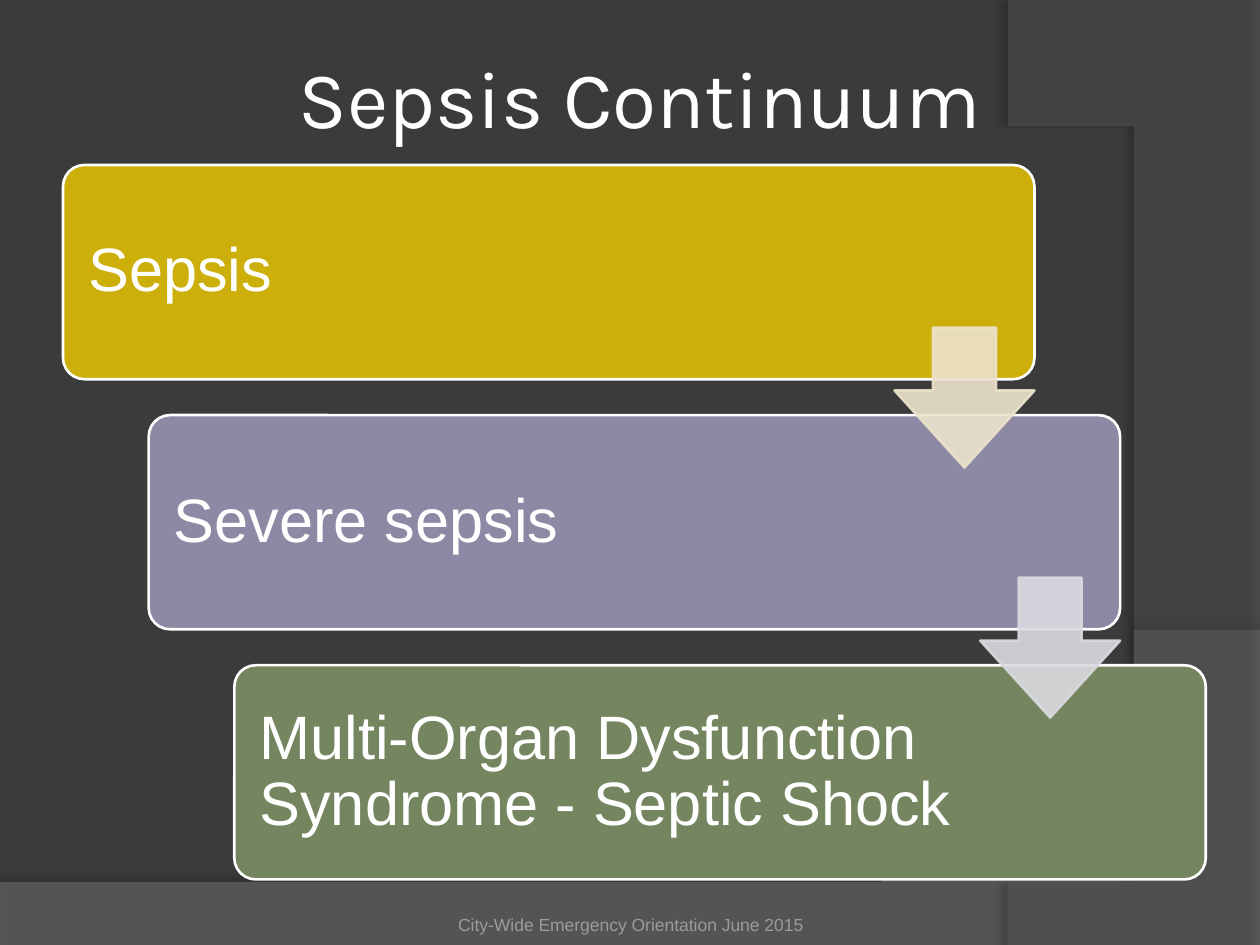
from dataclasses import dataclass

from lxml import etree
from pptx import Presentation
from pptx import util as u
from pptx.dml import color
from pptx.enum import shapes, text
from pptx.oxml import ns


@dataclass(frozen=True)
class Theme:
    background: str = "3B3B3B"
    white: str = "FFFFFF"
    wave: str = "7F7F7F"
    arc: str = "5E5E5E"
    footer: str = "9D9B9A"
    stages: tuple = ("CCAF0A", "8D89A4", "748560")
    arrows: tuple = ("ECE3CC", "DBDAE0")
    heading_font: str = "Karla"
    body_font: str = "Arial"
    title_size: float = 46
    stage_size: float = 35
    footer_size: float = 10
    outline: float = 1.5


def rgb(value):
    return color.RGBColor.from_string(value)


def bezier(start, control_1, control_2, end, steps=48):
    points = []
    for step in range(steps + 1):
        t = step / steps
        weights = ((1 - t) ** 3, 3 * t * (1 - t) ** 2, 3 * t * t * (1 - t), t ** 3)
        corners = (start, control_1, control_2, end)
        points.append(tuple(sum(w * c[axis] for w, c in zip(weights, corners))
                            for axis in (0, 1)))
    return points


class SlideBuilder:
    def __init__(self, slide, theme):
        self.slide = slide
        self.theme = theme
        slide.background.fill.solid()
        slide.background.fill.fore_color.rgb = rgb(theme.background)

    def paint(self, shape, fill, line=None, opacity=100):
        shape.shadow.inherit = False
        shape.fill.solid()
        shape.fill.fore_color.rgb = rgb(fill)
        if line:
            shape.line.color.rgb = rgb(line)
            shape.line.width = u.Pt(self.theme.outline)
        else:
            shape.line.fill.background()
        if opacity < 100:
            for tint in shape._element.spPr.iter(ns.qn("a:srgbClr")):
                etree.SubElement(tint, ns.qn("a:alpha"), val=str(opacity * 1000))

    def backdrop(self, points, fill, opacity, shadow_opacity, distance, direction):
        builder = self.slide.shapes.build_freeform(*points[0], scale=u.Inches(1))
        builder.add_line_segments(points[1:], close=True)
        shape = builder.convert_to_shape()
        self.paint(shape, fill, opacity=opacity)
        effects = shape._element.spPr.find(ns.qn("a:effectLst"))
        shadow = etree.SubElement(
            effects, ns.qn("a:outerShdw"), blurRad=str(u.Pt(4)),
            dist=str(u.Pt(distance)), dir=str(direction * 60000),
            algn="ctr", rotWithShape="0")
        tint = etree.SubElement(shadow, ns.qn("a:srgbClr"), val="000000")
        etree.SubElement(tint, ns.qn("a:alpha"), val=str(shadow_opacity * 1000))

    def preset(self, kind, bounds, adjustments, fill, line, opacity=100):
        shape = self.slide.shapes.add_shape(kind, *map(u.Inches, bounds))
        for index, value in enumerate(adjustments):
            shape.adjustments[index] = value
        self.paint(shape, fill, line, opacity)

    def label(self, words, bounds, size, font, tint, insets,
              align=text.PP_ALIGN.LEFT, anchor=text.MSO_ANCHOR.MIDDLE, spacing=1.0):
        frame = self.slide.shapes.add_textbox(*map(u.Inches, bounds)).text_frame
        frame.word_wrap = True
        frame.vertical_anchor = anchor
        (frame.margin_left, frame.margin_top,
         frame.margin_right, frame.margin_bottom) = map(u.Inches, insets)
        frame.text = words
        paragraph = frame.paragraphs[0]
        paragraph.alignment = align
        paragraph.line_spacing = spacing
        run_font = paragraph.runs[0].font
        run_font.name = font
        run_font.size = u.Pt(size)
        run_font.color.rgb = rgb(tint)


def main():
    theme = Theme()
    deck = Presentation()
    deck.slide_width, deck.slide_height = u.Inches(10), u.Inches(7.5)
    page = SlideBuilder(deck.slides.add_slide(deck.slide_layouts[6]), theme)

    wave = [(0, 7.51), (10, 7.51)] + bezier((10, 5.2), (5.59, 7.29), (3.91, 7.19), (0, 7.05))
    arc = [(10, 0.02), (10, 7.5)] + bezier((8.21, 7.5), (9.35, 6.19), (10.18, 3), (8, 0))
    page.backdrop(wave, theme.wave, 45, 35, 3.5, 270)
    page.backdrop(arc, theme.arc, 40, 45, 4, 180)

    page.label("Sepsis Continuum", (0.5, 0.3, 9.15, 0.93), theme.title_size,
               theme.heading_font, theme.white, [0.05] * 4, text.PP_ALIGN.CENTER)

    stages = ("Sepsis", "Severe sepsis", "Multi-Organ Dysfunction Syndrome - Septic Shock")
    left, top, width, height = 0.5, 1.31, 7.71, 1.7
    step_x, step_y = 0.68, 1.985
    pad, arrow_size, arrow_top = 0.05, 1.11, 2.6

    for index, (stage, fill) in enumerate(zip(stages, theme.stages)):
        x, y = left + index * step_x, top + index * step_y
        page.preset(shapes.MSO_SHAPE.ROUNDED_RECTANGLE, (x, y, width, height),
                    [0.1], fill, theme.white)
        page.label(stage, (x + pad, y + pad, 5.82, height - 2 * pad), theme.stage_size,
                   theme.body_font, theme.white, [0.15] * 4, spacing=0.9)

    for index, fill in enumerate(theme.arrows):
        x = left + width - arrow_size + index * step_x
        page.preset(shapes.MSO_SHAPE.DOWN_ARROW,
                    (x, arrow_top + index * step_y, arrow_size, arrow_size),
                    [0.45, 0.55], fill, fill, opacity=90)
    page.label("City-Wide Emergency Orientation June 2015", (3.42, 7.02, 3.17, 0.4),
               theme.footer_size, theme.body_font, theme.footer, (0, 0.05, 0, 0),
               text.PP_ALIGN.CENTER, text.MSO_ANCHOR.BOTTOM)

    deck.save("out.pptx")


if __name__ == "__main__":
    main()
